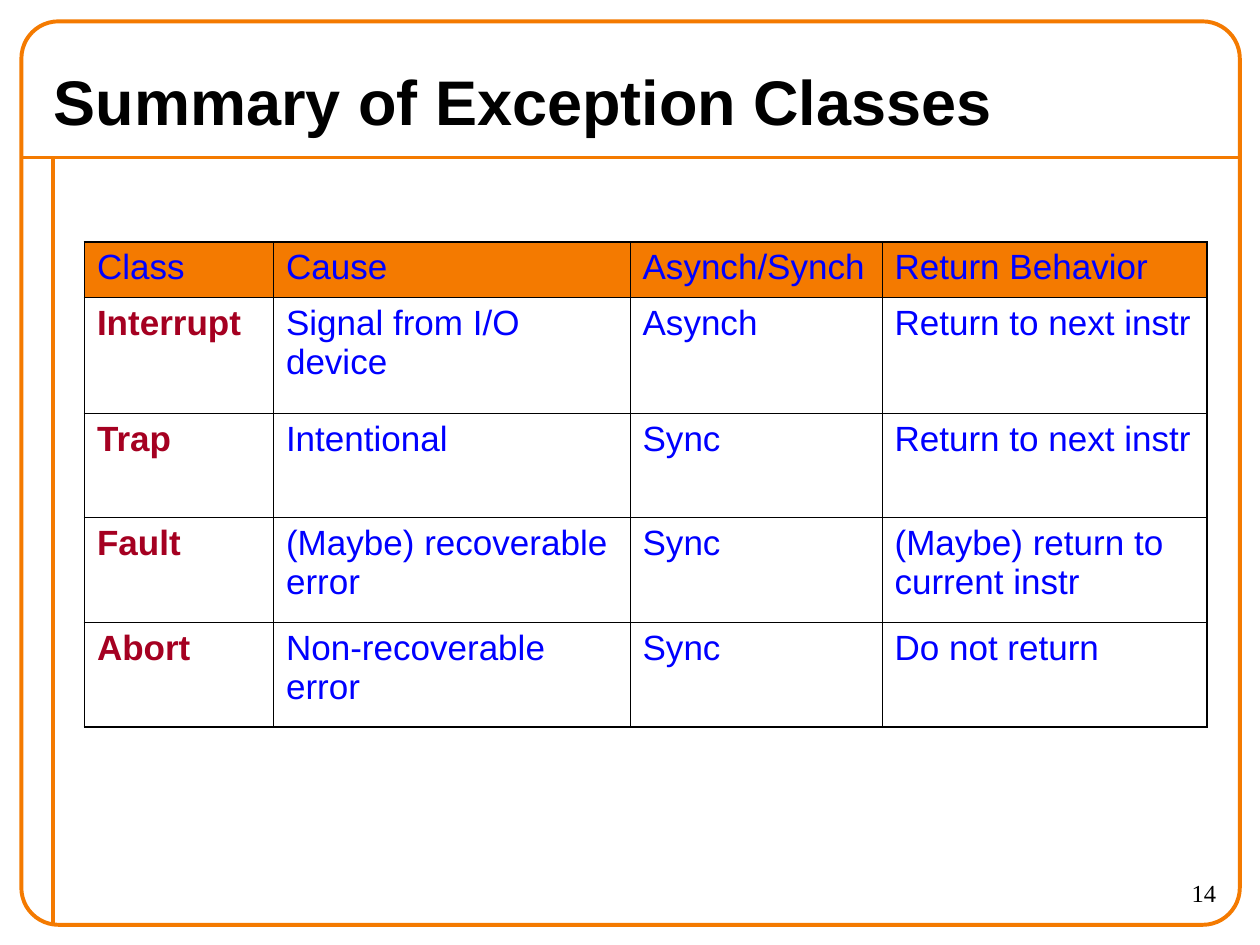
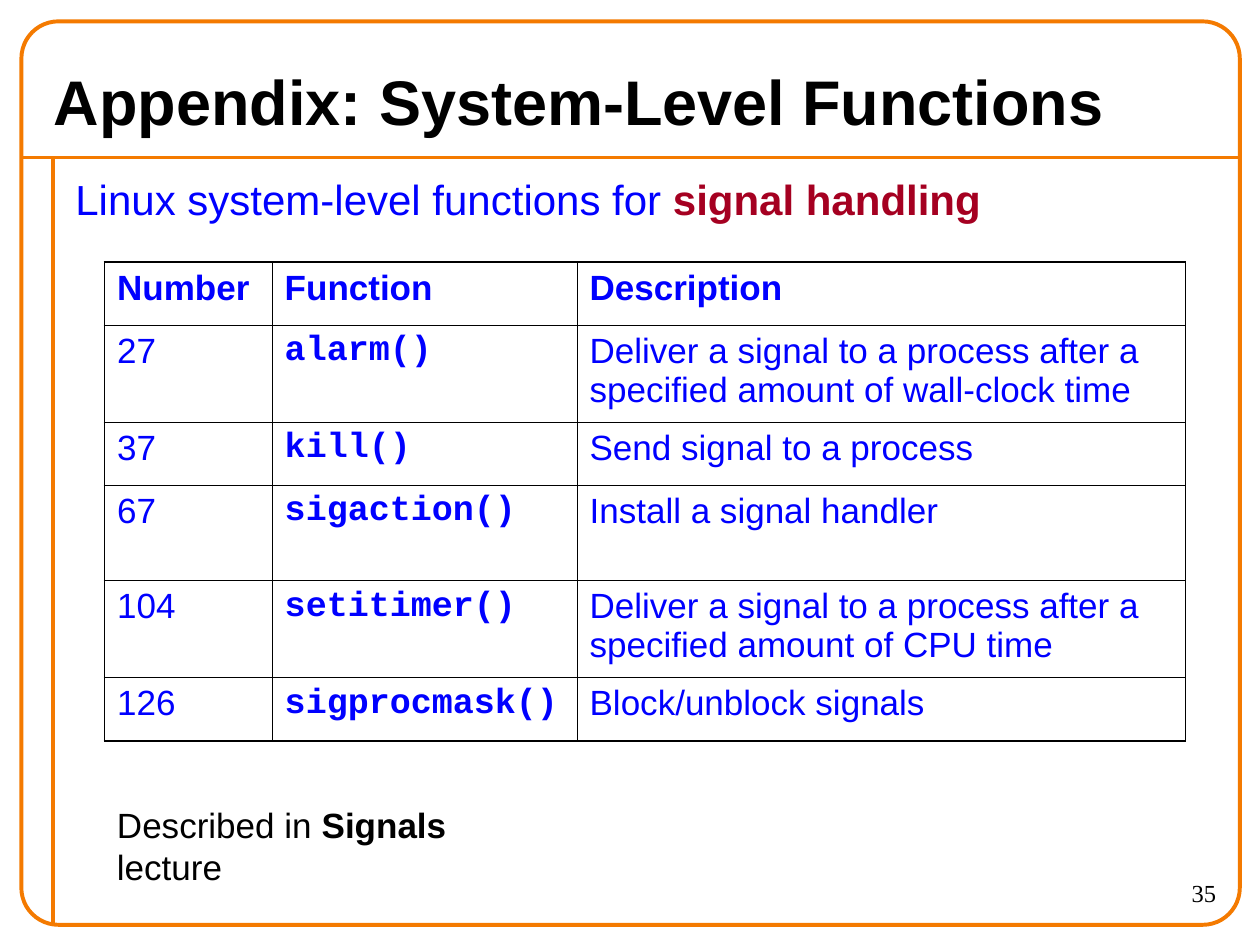
from dataclasses import dataclass

from lxml import etree
from pptx import Presentation
from pptx.dml.color import RGBColor
from pptx.enum.shapes import MSO_CONNECTOR, MSO_SHAPE
from pptx.enum.text import MSO_ANCHOR, PP_ALIGN
from pptx.oxml.ns import qn
from pptx.util import Inches, Pt

STRAIGHT = MSO_CONNECTOR.STRAIGHT
ROUNDED = MSO_SHAPE.ROUNDED_RECTANGLE
TOP, MIDDLE = MSO_ANCHOR.TOP, MSO_ANCHOR.MIDDLE
LEFT, RIGHT = PP_ALIGN.LEFT, PP_ALIGN.RIGHT

ORANGE, BLUE, CRIMSON, BLACK = "F47A00", "0000FF", "A50021", "000000"
SANS, CODE, SERIF = "Arial", "Courier New", "Times New Roman"
FRAME_WIDTH, OUTER_WIDTH, INNER_WIDTH = 2.25, 1.08, 0.45


@dataclass(frozen=True)
class Style:
    size: float = 20
    color: str = BLUE
    bold: bool = False
    font: str = SANS


PLAIN = Style()
STRONG = Style(bold=True)
CLASS_NAME = Style(color=CRIMSON, bold=True)
FUNCTION_NAME = Style(bold=True, font=CODE)
TITLE = Style(size=36, color=BLACK, bold=True)
PAGE_NUMBER = Style(size=14, color=BLACK, font=SERIF)


@dataclass(frozen=True)
class Grid:
    left: float
    top: float
    columns: list[float]
    heights: list[float]
    rows: list[list[str]]
    column_styles: list[Style]
    header_style: Style
    header_fill: str | None = None


EXCEPTIONS = Grid(
    left=0.67, top=1.92,
    columns=[1.5, 2.83, 2, 2.58],
    heights=[0.44, 0.92, 0.83, 0.83, 0.83],
    rows=[
        ["Class", "Cause", "Asynch/Synch", "Return Behavior"],
        ["Interrupt", "Signal from I/O\vdevice", "Asynch", "Return to next instr"],
        ["Trap", "Intentional", "Sync", "Return to next instr"],
        ["Fault", "(Maybe) recoverable error", "Sync",
         "(Maybe) return to current instr"],
        ["Abort", "Non-recoverable error", "Sync", "Do not return"],
    ],
    column_styles=[CLASS_NAME, PLAIN, PLAIN, PLAIN],
    header_style=PLAIN, header_fill=ORANGE,
)

SIGNAL_FUNCTIONS = Grid(
    left=0.83, top=2.08,
    columns=[1.33, 2.42, 4.83],
    heights=[0.5, 0.77, 0.5, 0.76, 0.77, 0.5],
    rows=[
        ["Number", "Function", "Description"],
        ["27", "alarm()", "Deliver a signal to a process after a specified "
                          "amount of wall-clock time"],
        ["37", "kill()", "Send signal to a process"],
        ["67", "sigaction()", "Install a signal handler"],
        ["104", "setitimer()", "Deliver a signal to a process after a specified "
                               "amount of CPU time"],
        ["126", "sigprocmask()", "Block/unblock signals"],
    ],
    column_styles=[PLAIN, FUNCTION_NAME, PLAIN],
    header_style=STRONG,
)


def rgb(color: str) -> RGBColor:
    return RGBColor.from_string(color)


def write_span(para, text: str, style: Style) -> None:
    """Add styled text; a vertical tab in it becomes a line break."""
    for index, line in enumerate(text.split("\v")):
        if index:
            para.add_line_break()
        span = para.add_run()
        span.text = line
        span.font.name = style.font
        span.font.size = Pt(style.size)
        span.font.bold = style.bold
        span.font.color.rgb = rgb(style.color)


def add_text(page, left: float, top: float, width: float, height: float,
             spans: list[tuple[str, Style]], align=LEFT, anchor=TOP,
             wrap: bool = True) -> None:
    box = page.shapes.add_textbox(Inches(left), Inches(top), Inches(width), Inches(height))
    frame = box.text_frame
    frame.word_wrap = wrap
    frame.vertical_anchor = anchor
    para = frame.paragraphs[0]
    para.alignment = align
    for text, style in spans:
        write_span(para, text, style)


def add_rule(page, left: float, top: float, right: float, bottom: float) -> None:
    rule = page.shapes.add_connector(STRAIGHT, Inches(left), Inches(top),
                                     Inches(right), Inches(bottom))
    rule.line.color.rgb = rgb(ORANGE)
    rule.line.width = Pt(FRAME_WIDTH)
    etree.SubElement(rule._element.spPr, qn("a:effectLst"))


def add_page(deck, title: str, number: int):
    """Add a slide with the shared frame, title and page number."""
    page = deck.slides.add_slide(deck.slide_layouts[6])
    add_rule(page, 0.17, 1.25, 9.83, 1.25)
    add_rule(page, 0.42, 1.25, 0.42, 7.33)
    border = page.shapes.add_shape(ROUNDED, Inches(0.17), Inches(0.17),
                                   Inches(9.67), Inches(7.17))
    border.adjustments[0] = 0.041
    border.shadow.inherit = False
    border.fill.background()
    border.line.color.rgb = rgb(ORANGE)
    border.line.width = Pt(FRAME_WIDTH)
    add_text(page, 8.75, 6.92, 1, 0.42, [(str(number), PAGE_NUMBER)], align=RIGHT)
    add_text(page, 0.33, 0.42, 9.33, 0.75, [(title, TITLE)], anchor=MIDDLE)
    return page


def set_border(cell, side: str, width: float) -> None:
    line = etree.SubElement(cell._tc.get_or_add_tcPr(), qn(f"a:ln{side}"),
                            w=str(Pt(width)))
    fill = etree.SubElement(line, qn("a:solidFill"))
    etree.SubElement(fill, qn("a:srgbClr"), val=BLACK)


def add_grid(page, grid: Grid) -> None:
    last_row, last_column = len(grid.rows) - 1, len(grid.columns) - 1
    table = page.shapes.add_table(
        len(grid.rows), len(grid.columns), Inches(grid.left), Inches(grid.top),
        Inches(sum(grid.columns)), Inches(sum(grid.heights))).table
    table.first_row = table.horz_banding = False
    for column, width in zip(table.columns, grid.columns):
        column.width = Inches(width)
    for row, height in zip(table.rows, grid.heights):
        row.height = Inches(height)

    for row_index, texts in enumerate(grid.rows):
        is_header = row_index == 0
        for column_index, text in enumerate(texts):
            cell = table.cell(row_index, column_index)
            style = grid.header_style if is_header else grid.column_styles[column_index]
            write_span(cell.text_frame.paragraphs[0], text, style)
            on_edge = {"L": column_index == 0, "R": column_index == last_column,
                       "T": is_header, "B": row_index == last_row}
            for side, outer in on_edge.items():
                set_border(cell, side, OUTER_WIDTH if outer else INNER_WIDTH)
            if is_header and grid.header_fill:
                cell.fill.solid()
                cell.fill.fore_color.rgb = rgb(grid.header_fill)
            else:
                cell.fill.background()


def main() -> None:
    deck = Presentation()
    deck.slide_width, deck.slide_height = Inches(10), Inches(7.5)

    page = add_page(deck, "Summary of Exception Classes", 14)
    add_grid(page, EXCEPTIONS)

    page = add_page(deck, "Appendix: System-Level Functions", 35)
    add_text(page, 0.5, 1.33, 9.08, 0.75, [
        ("Linux system-level functions for ", Style(size=24)),
        ("signal handling", Style(size=24, color=CRIMSON, bold=True))])
    add_grid(page, SIGNAL_FUNCTIONS)
    note = Style(color=BLACK)
    add_text(page, 0.83, 6.33, 3.72, 0.44, [
        ("Described in ", note),
        ("Signals", Style(color=BLACK, bold=True)),
        (" lecture", note)], wrap=False)

    deck.save("out.pptx")


if __name__ == "__main__":
    main()
